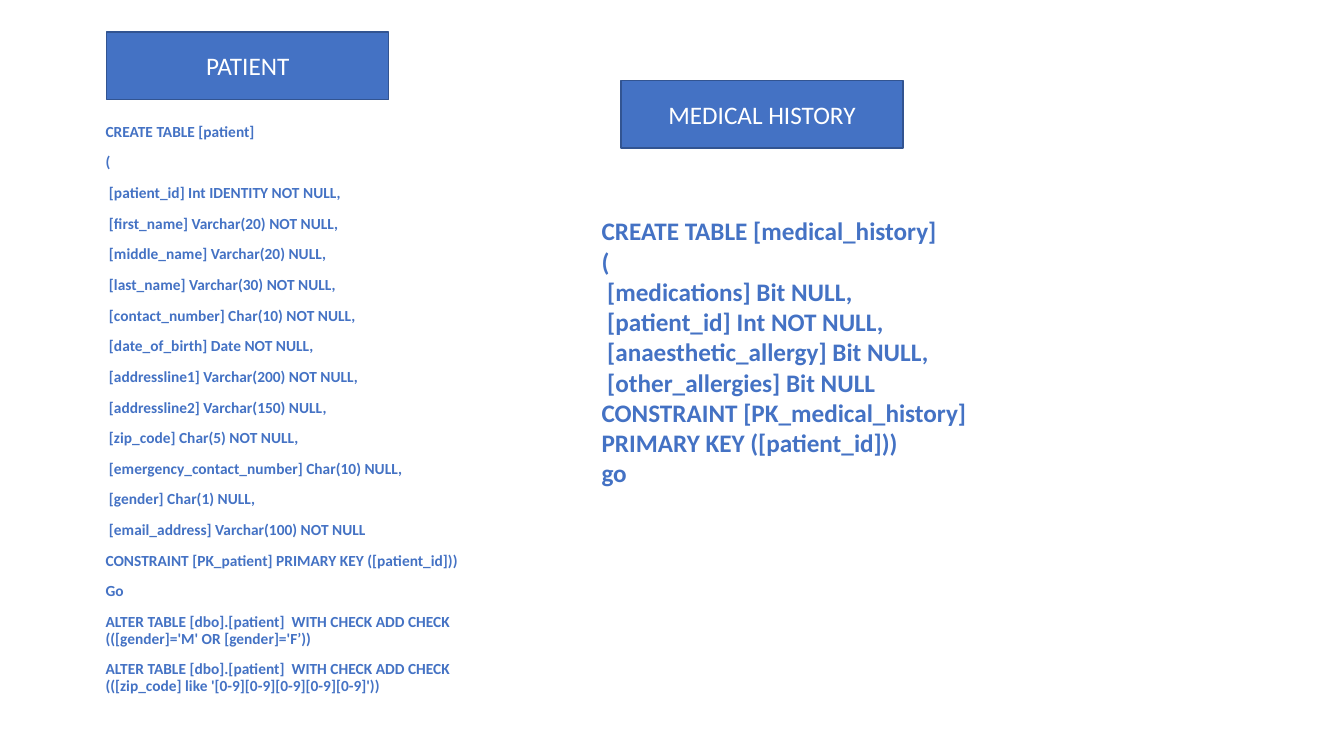
from pptx import Presentation
from pptx import util as u
from pptx.dml.color import RGBColor
from pptx.enum import shapes, text

BLUE = RGBColor(0x44, 0x72, 0xC4)
DARK_BLUE = RGBColor(0x32, 0x54, 0x91)
WHITE = RGBColor(0xFF, 0xFF, 0xFF)

PATIENT_SQL = """CREATE TABLE [patient]
(
 [patient_id] Int IDENTITY NOT NULL,
 [first_name] Varchar(20) NOT NULL,
 [middle_name] Varchar(20) NULL,
 [last_name] Varchar(30) NOT NULL,
 [contact_number] Char(10) NOT NULL,
 [date_of_birth] Date NOT NULL,
 [addressline1] Varchar(200) NOT NULL,
 [addressline2] Varchar(150) NULL,
 [zip_code] Char(5) NOT NULL,
 [emergency_contact_number] Char(10) NULL,
 [gender] Char(1) NULL,
 [email_address] Varchar(100) NOT NULL
CONSTRAINT [PK_patient] PRIMARY KEY ([patient_id]))
Go
ALTER TABLE [dbo].[patient]  WITH CHECK ADD CHECK  (([gender]='M' OR [gender]='F’))
ALTER TABLE [dbo].[patient]  WITH CHECK ADD CHECK  (([zip_code] like '[0-9][0-9][0-9][0-9][0-9]'))"""

HISTORY_SQL = """CREATE TABLE [medical_history]
(
 [medications] Bit NULL,
 [patient_id] Int NOT NULL,
 [anaesthetic_allergy] Bit NULL,
 [other_allergies] Bit NULL
CONSTRAINT [PK_medical_history] PRIMARY KEY ([patient_id]))
go"""


def write(tf, content, size=18, color=BLUE, bold=False, font="Calibri",
          align=text.PP_ALIGN.LEFT, line_spacing=1.0, before=0):
    """Fill a text frame with one paragraph per line of content."""
    tf.word_wrap = True
    for i, line in enumerate(content.split("\n")):
        p = tf.add_paragraph() if i else tf.paragraphs[0]
        p.alignment = align
        p.line_spacing = line_spacing
        if i:
            p.space_before = u.Pt(before)
        r = p.add_run()
        r.text = line
        r.font.name, r.font.size, r.font.bold = font, u.Pt(size), bold
        r.font.color.rgb = color


class SchemaSlide:
    """Holds the slide and the shared sizes of its headings and code."""
    heading_size = u.Cm(7.11), u.Cm(1.7)
    code_width = u.Cm(10.82)

    def __init__(self, prs):
        self.s = prs.slides.add_slide(prs.slide_layouts[6])

    def heading(self, left, top, title):
        sp = self.s.shapes.add_shape(shapes.MSO_SHAPE.RECTANGLE,
                                     u.Cm(left), u.Cm(top), *self.heading_size)
        sp.shadow.inherit = False
        sp.fill.solid()
        sp.fill.fore_color.rgb = BLUE
        sp.line.color.rgb = DARK_BLUE
        sp.line.width = u.Pt(1)
        sp.text_frame.vertical_anchor = text.MSO_ANCHOR.MIDDLE
        write(sp.text_frame, title, color=WHITE, align=text.PP_ALIGN.CENTER)

    def code(self, left, top, height, sql, **style):
        sp = self.s.shapes.add_textbox(u.Cm(left), u.Cm(top),
                                       self.code_width, u.Cm(height))
        write(sp.text_frame, sql, bold=True, **style)


def main():
    prs = Presentation()
    prs.slide_width, prs.slide_height = u.Cm(33.87), u.Cm(19.05)
    slide = SchemaSlide(prs)

    # Patient table
    slide.heading(2.69, 0.81, "PATIENT")
    slide.code(2.41, 3.0, 14.76, PATIENT_SQL, size=11, line_spacing=0.9, before=10)

    # Medical history table
    slide.heading(15.65, 2.03, "MEDICAL HISTORY")
    slide.code(14.91, 5.31, 7.19, HISTORY_SQL)

    prs.save("out.pptx")


if __name__ == "__main__":
    main()
